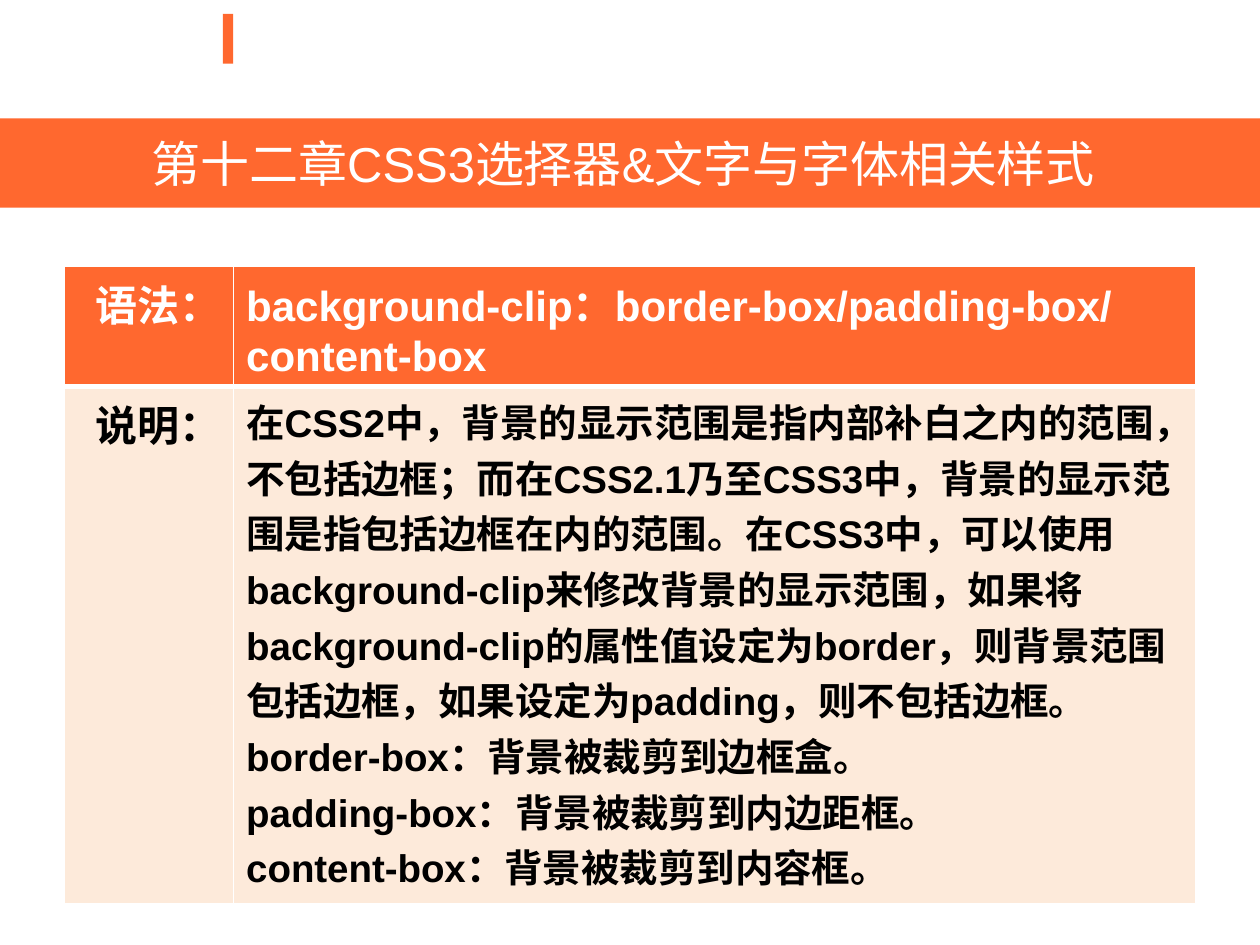
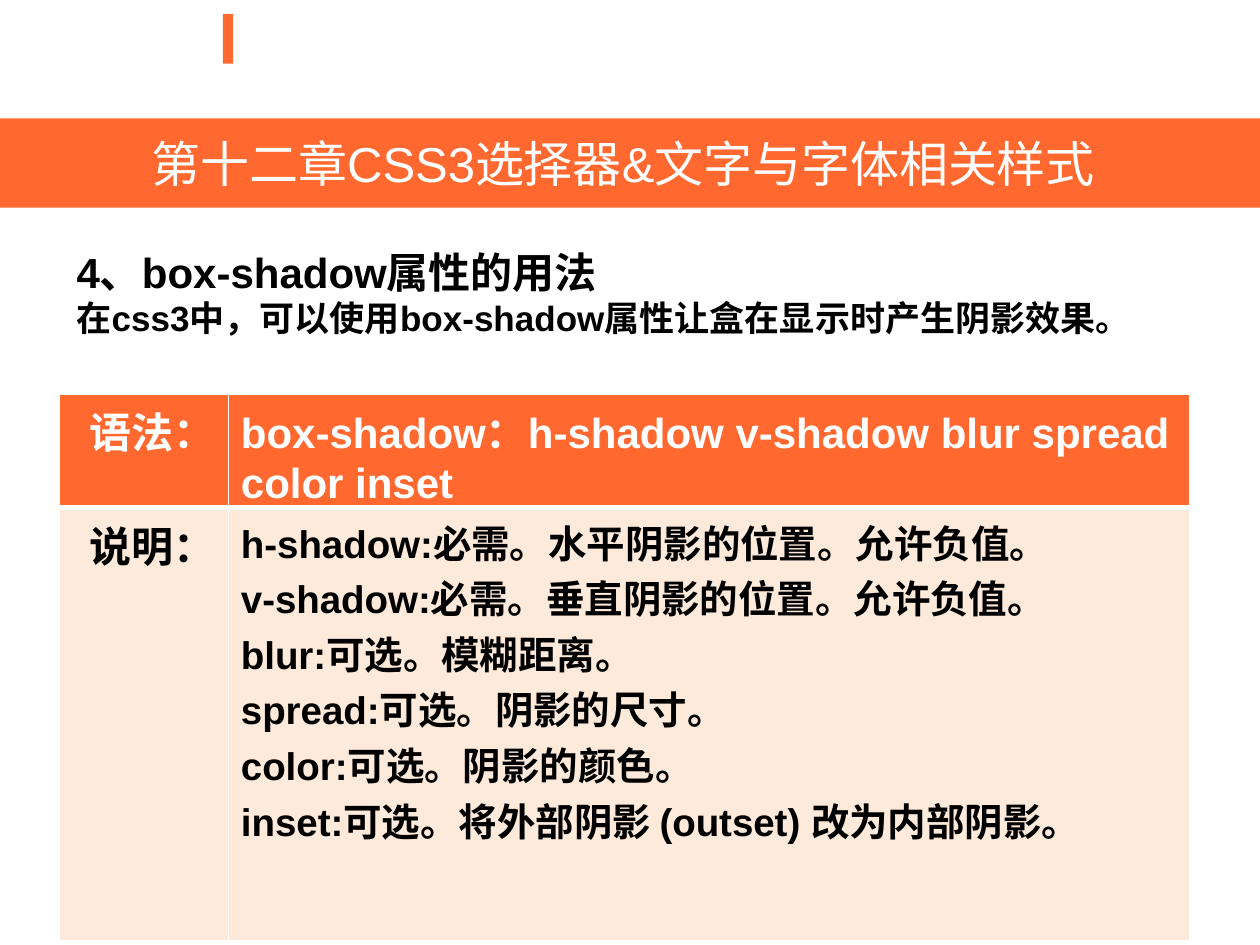
from lxml import etree
from pptx import Presentation
from pptx.dml.color import RGBColor
from pptx.enum.lang import MSO_LANGUAGE_ID as Language
from pptx.enum.shapes import MSO_SHAPE as Shape
from pptx.enum.text import MSO_ANCHOR as Anchor, MSO_AUTO_SIZE as AutoSize, PP_ALIGN as Align
from pptx.oxml.ns import qn
from pptx.util import Pt

COLORS = {"accent": "FF682F", "tint": "FDEADA", "white": "FFFFFF", "black": "000000"}
FONT = "Arial"
CHAPTER = "第十二章CSS3选择器&文字与字体相关样式"
BAND = (0, 67.7, 720, 51)
MARKER = (127.4, 8, 5.8, 28.4)
COLUMNS = (96.5, 549.6)

CLIP_SYNTAX = "background-clip：border-box/padding-box/content-box"
CLIP_NOTES = [
    "在CSS2中，背景的显示范围是指内部补白之内的范围，不包括边框；"
    "而在CSS2.1乃至CSS3中，背景的显示范围是指包括边框在内的范围。"
    "在CSS3中，可以使用background-clip来修改背景的显示范围，"
    "如果将background-clip的属性值设定为border，则背景范围包括边框，"
    "如果设定为padding，则不包括边框。",
    "border-box：背景被裁剪到边框盒。",
    "padding-box：背景被裁剪到内边距框。",
    "content-box：背景被裁剪到内容框。",
]
SHADOW_INTRO = [
    ("4、box-shadow属性的用法", 24),
    ("在css3中，可以使用box-shadow属性让盒在显示时产生阴影效果。", 20),
]
SHADOW_SYNTAX = "box-shadow：h-shadow v-shadow blur spread color inset"
SHADOW_NOTES = [
    "h-shadow:必需。水平阴影的位置。允许负值。",
    "v-shadow:必需。垂直阴影的位置。允许负值。",
    "blur:可选。模糊距离。",
    "spread:可选。阴影的尺寸。",
    "color:可选。阴影的颜色。",
    "inset:可选。将外部阴影 (outset) 改为内部阴影。",
]


def paint(fill, color):
    """Give a fill one solid colour from the palette."""
    fill.solid()
    fill.fore_color.rgb = RGBColor.from_string(COLORS[color])


def write(frame, lines, color, bold=True, align=Align.LEFT):
    """Write (text, size) lines into a text frame."""
    frame.word_wrap = True
    for index, (text, size) in enumerate(lines):
        para = frame.add_paragraph() if index else frame.paragraphs[0]
        para.text = text
        para.alignment = align
        font = para.font
        font.name, font.size, font.bold = FONT, Pt(size), bold
        font.language_id = Language.SIMPLIFIED_CHINESE
        font.color.rgb = RGBColor.from_string(COLORS[color])


def add_page(deck):
    """Add a slide with the chapter band and the small marker."""
    page = deck.slides.add_slide(deck.slide_layouts[5])
    marker = page.shapes.add_shape(Shape.RECTANGLE, *map(Pt, MARKER))
    marker.shadow.inherit = False
    paint(marker.fill, "accent")
    marker.line.fill.background()

    title = page.shapes.title
    title.left, title.top, title.width, title.height = map(Pt, BAND)
    paint(title.fill, "accent")
    frame = title.text_frame
    frame.auto_size = AutoSize.NONE
    frame.vertical_anchor = Anchor.MIDDLE
    frame.margin_right = Pt(15)
    write(frame, [(CHAPTER, 28)], "white", bold=False, align=Align.CENTER)
    return page


def add_intro(page, box, lines):
    """Place the section heading and its sentence."""
    write(page.shapes.add_textbox(*map(Pt, box)).text_frame, lines, "black")


def add_borders(cell, bottom):
    """Draw white cell borders with the given bottom width."""
    properties = cell._tc.get_or_add_tcPr()
    for side, width in (("L", 1), ("R", 1), ("T", 1), ("B", bottom)):
        line = etree.SubElement(properties, qn(f"a:ln{side}"), w=str(Pt(width)))
        fill = etree.SubElement(line, qn("a:solidFill"))
        etree.SubElement(fill, qn("a:srgbClr"), val=COLORS["white"])


def add_syntax_table(page, left, top, heights, syntax, notes):
    """Place the table of a property's syntax and explanation."""
    box = (left, top, sum(COLUMNS), sum(heights))
    table = page.shapes.add_table(2, 2, *map(Pt, box)).table
    for column, width in zip(table.columns, COLUMNS):
        column.width = Pt(width)
    for row, height in zip(table.rows, heights):
        row.height = Pt(height)

    rows = [
        ("语法：", [(syntax, 24)], "accent", "white", 3),
        ("说明：", [(note, 22) for note in notes], "tint", "black", 1),
    ]
    for row, (label, lines, background, color, bottom) in zip(table.rows, rows):
        label_cell, text_cell = row.cells
        for cell in (label_cell, text_cell):
            add_borders(cell, bottom)
            paint(cell.fill, background)
        write(label_cell.text_frame, [(label, 24)], color, align=Align.RIGHT)
        write(text_cell.text_frame, lines, color)


def main():
    """Build and save the deck."""
    deck = Presentation()
    deck.slide_width, deck.slide_height = Pt(720), Pt(540)

    page = add_page(deck)
    add_syntax_table(page, 37, 152.2, (46.8, 295.2), CLIP_SYNTAX, CLIP_NOTES)

    page = add_page(deck)
    add_intro(page, (36.7, 137.2, 648, 76), SHADOW_INTRO)
    add_syntax_table(page, 34, 225, (39.6, 247.7), SHADOW_SYNTAX, SHADOW_NOTES)

    deck.save("out.pptx")


if __name__ == "__main__":
    main()
